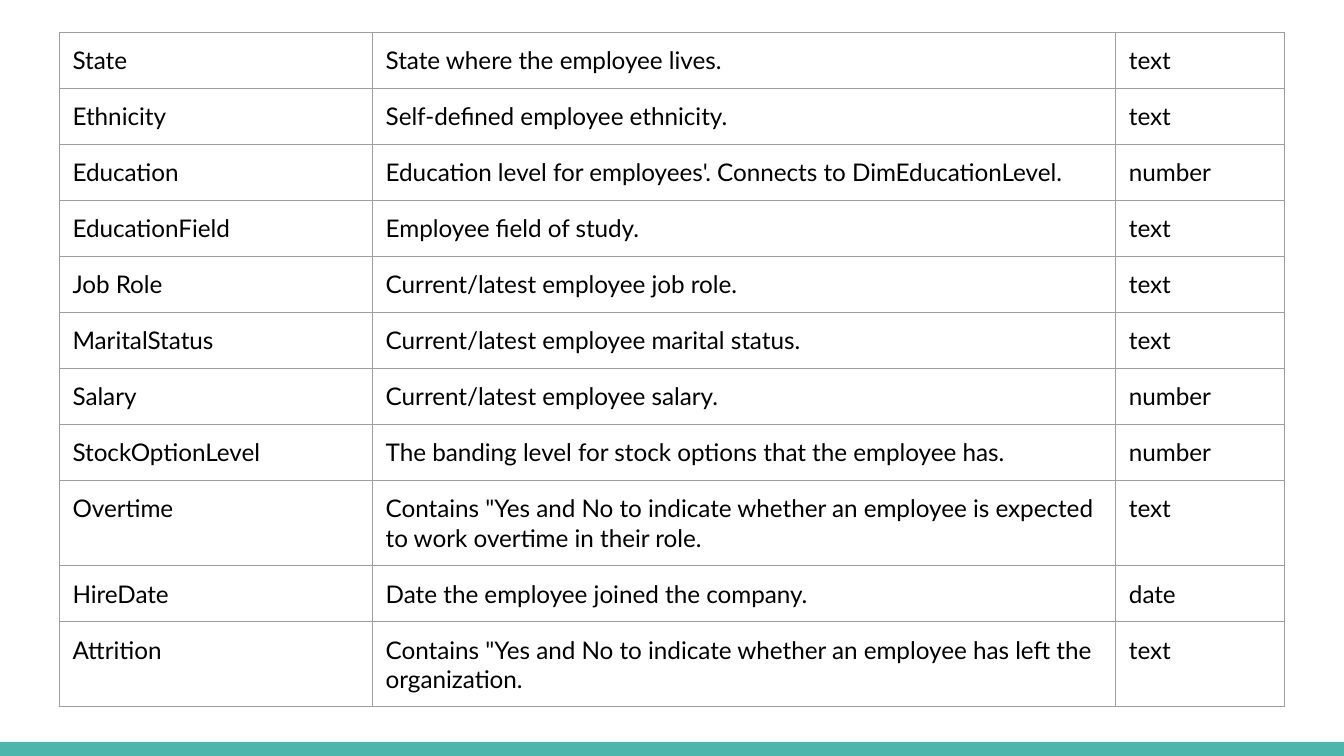
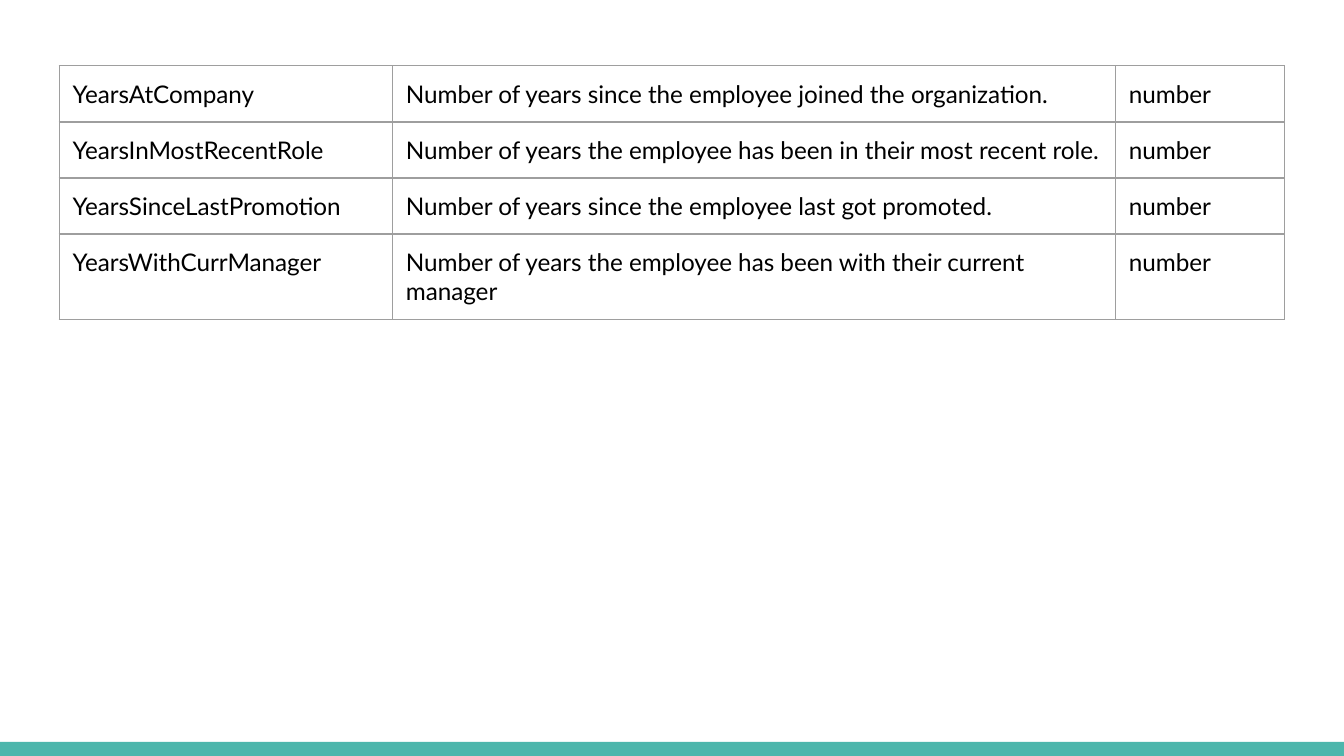
from dataclasses import dataclass

from lxml import etree
from pptx import Presentation
from pptx.dml.color import RGBColor
from pptx.enum.shapes import MSO_SHAPE
from pptx.oxml.ns import qn
from pptx.util import Inches, Pt

RECT = MSO_SHAPE.RECTANGLE

PAGES = [
    {
        "top": 0.24,
        "cols": (2.33, 5.53, 1.26),
        "rows": [
            ("State", "State where the employee lives.", "text"),
            ("Ethnicity", "Self-defined employee ethnicity.", "text"),
            ("Education", "Education level for employees'. Connects to DimEducationLevel.", "number"),
            ("EducationField", "Employee field of study.", "text"),
            ("Job Role", "Current/latest employee job role.", "text"),
            ("MaritalStatus", "Current/latest employee marital status.", "text"),
            ("Salary", "Current/latest employee salary.", "number"),
            ("StockOptionLevel", "The banding level for stock options that the employee has.", "number"),
            ("Overtime", 'Contains "Yes and No to indicate whether an employee is expected '
                         "to work overtime in their role.", "text"),
            ("HireDate", "Date the employee joined the company.", "date"),
            ("Attrition", 'Contains "Yes and No to indicate whether an employee has left '
                          "the organization.", "text"),
        ],
    },
    {
        "top": 0.49,
        "cols": (2.48, 5.38, 1.26),
        "rows": [
            ("YearsAtCompany", "Number of years since the employee joined the organization.", "number"),
            ("YearsInMostRecentRole", "Number of years the employee has been in their most recent role.", "number"),
            ("YearsSinceLastPromotion", "Number of years since the employee last got promoted.", "number"),
            ("YearsWithCurrManager", "Number of years the employee has been with their current manager", "number"),
        ],
    },
]


@dataclass(frozen=True)
class Theme:
    band: str = "4DB6AC"
    grid: str = "9E9E9E"
    ink: str = "000000"
    font: str = "Lato"
    size: float = 13
    line: float = 0.75


THEME = Theme()
WIDE = 10
HIGH = WIDE * 9 / 16
BAND_TOP = 5.52
LEFT = 0.44
ROW = 5 / 12
INSET = Inches(0.1)
CELL = {f"margin_{side}": INSET for side in ("left", "right", "top", "bottom")}
FONT = {"name": THEME.font, "size": Pt(THEME.size), "bold": False}
PLAIN = {"first_row": False, "horz_banding": False}


def set_all(item, values):
    for name, value in values.items():
        setattr(item, name, value)


def add_band(slide):
    band = slide.shapes.add_shape(
        RECT, 0, Inches(BAND_TOP), Inches(WIDE), Inches(HIGH - BAND_TOP))
    band.shadow.inherit = False
    band.fill.solid()
    band.fill.fore_color.rgb = RGBColor.from_string(THEME.band)
    band.line.fill.background()


def add_grid(cell):
    """Draw the four borders of a cell."""
    props = cell._tc.get_or_add_tcPr()
    for side in "LRTB":
        line = etree.SubElement(props, qn(f"a:ln{side}"), w=str(Pt(THEME.line)))
        fill = etree.SubElement(line, qn("a:solidFill"))
        etree.SubElement(fill, qn("a:srgbClr"), val=THEME.grid)


def fill_cell(cell, text):
    set_all(cell, CELL)
    add_grid(cell)
    cell.fill.background()
    run = cell.text_frame.paragraphs[0].add_run()
    run.text = text
    set_all(run.font, FONT)
    run.font.color.rgb = RGBColor.from_string(THEME.ink)


def add_fields(slide, top, cols, rows):
    """Add the table of field names, meanings and types."""
    table = slide.shapes.add_table(
        len(rows), len(cols), Inches(LEFT), Inches(top),
        Inches(sum(cols)), Inches(ROW * len(rows))).table
    set_all(table, PLAIN)
    for col, width in zip(table.columns, cols):
        col.width = Inches(width)
    for row, texts in zip(table.rows, rows):
        row.height = Inches(ROW)
        for cell, text in zip(row.cells, texts):
            fill_cell(cell, text)


def main():
    deck = Presentation()
    set_all(deck, {"slide_width": Inches(WIDE), "slide_height": Inches(HIGH)})
    blank = deck.slide_layouts[6]
    for page in PAGES:
        slide = deck.slides.add_slide(blank)
        add_band(slide)
        add_fields(slide, **page)
    deck.save("out.pptx")


if __name__ == "__main__":
    main()
